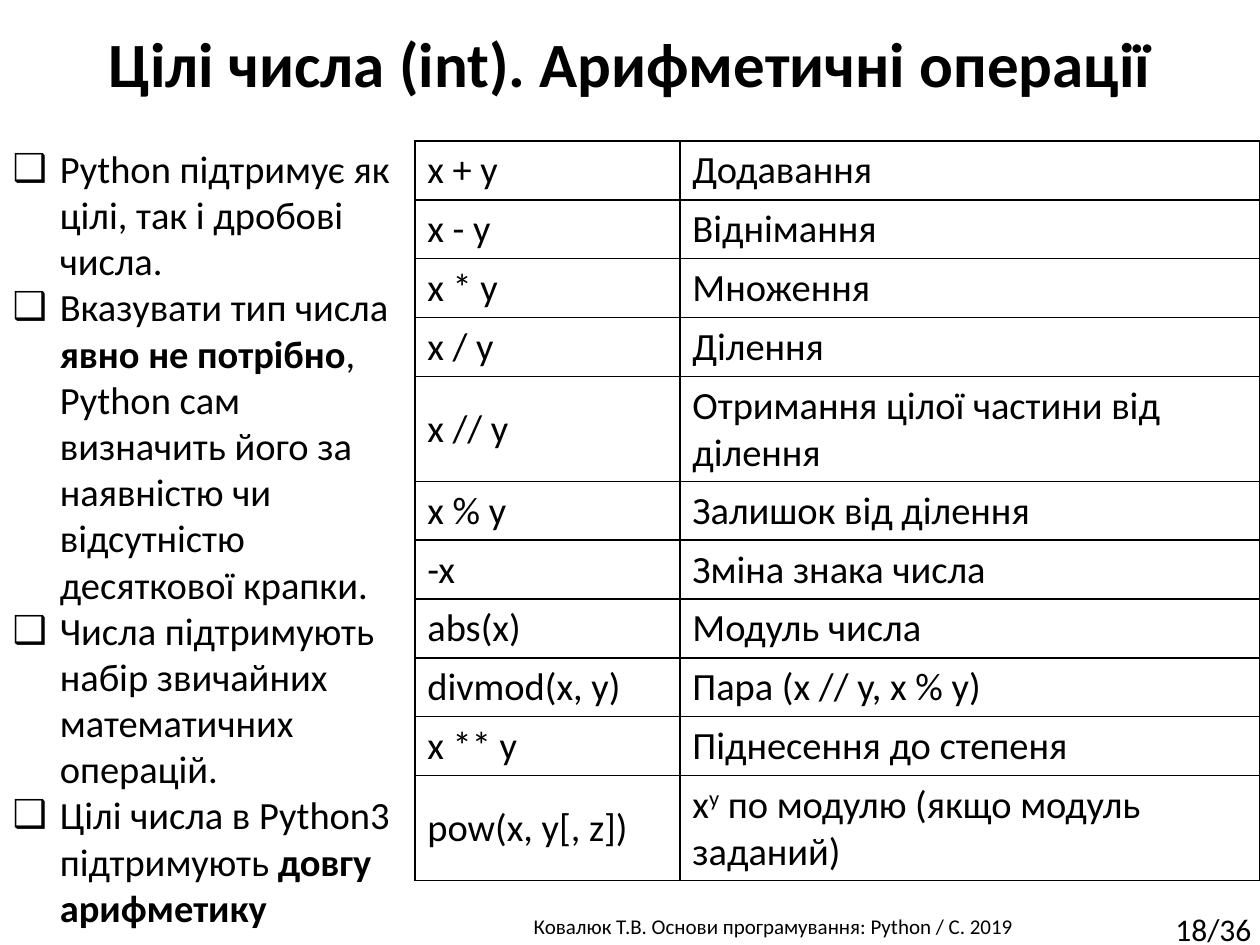
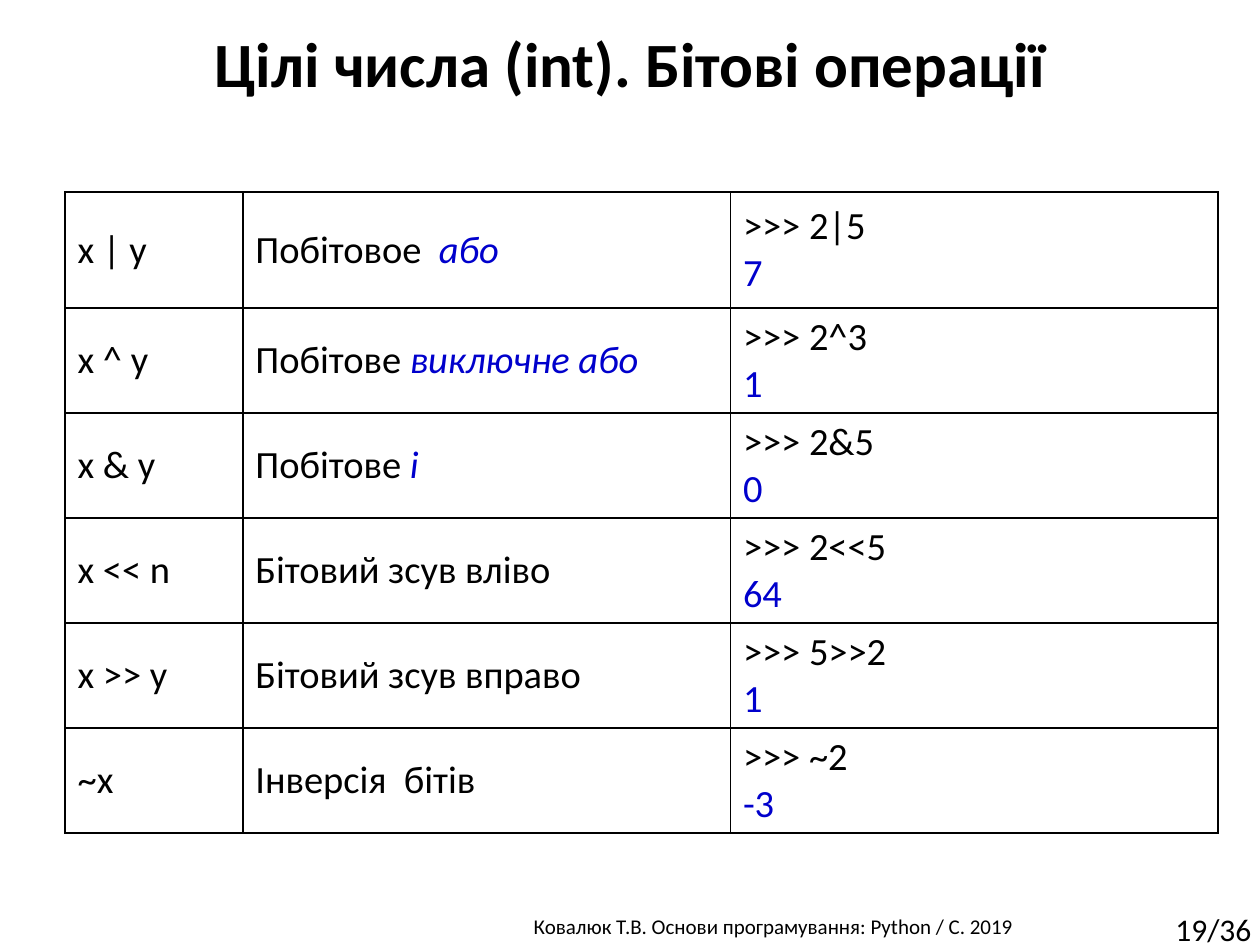
from dataclasses import dataclass

from lxml.etree import SubElement
from pptx import Presentation
from pptx.dml.color import RGBColor
from pptx.enum.text import MSO_ANCHOR as Anchor, MSO_AUTO_SIZE as AutoSize, PP_ALIGN as Align
from pptx.oxml.ns import qn
from pptx.util import Pt


@dataclass(frozen=True)
class Theme:
    font: str = "Calibri"
    text: RGBColor = RGBColor(0, 0, 0)
    accent: RGBColor = RGBColor(0, 0, 0xCC)
    paper: RGBColor = RGBColor(255, 255, 255)
    border: str = "000000"
    border_width: int = 1
    title_size: int = 36
    body_size: int = 22
    number_size: int = 18
    footer_size: int = 12
    bullet: str = "❑"
    bullet_indent: int = 27


@dataclass(frozen=True)
class Box:
    left: float
    top: float
    width: float
    height: float

    def lengths(self):
        return [Pt(value) for value in (self.left, self.top, self.width, self.height)]


@dataclass(frozen=True)
class Span:
    text: str
    bold: bool = False
    italic: bool = False
    accent: bool = False
    superscript: bool = False


THEME = Theme()
SLIDE_WIDTH, SLIDE_HEIGHT = 720, 540
TITLE_BOX = Box(0, 10, SLIDE_WIDTH, 51)
FOOTER_BOX = Box(237, 518.4, 410, 21.8)
NUMBER_BOX = Box(664.6, 516.2, 61, 29)
LIST_BOX = Box(0, 79.2, 233.3, 460.8)
ARITHMETIC_BOX = Box(237, 80.6, 483, 422.4)
BITWISE_BOX = Box(37.2, 109.8, 658.8, 366.2)
ONE_LINE, TWO_LINES, TALL_ROW = 33.6, 60, 66.2
TITLE_ONLY, TITLE_AND_CONTENT = 5, 1
FOOTER = "Ковалюк Т.В. Основи програмування: Python / C. 2019"
SLIDE_COUNT = 36

INTEGER_FACTS = [
    ["Python підтримує як цілі, так і дробові числа."],
    ["Вказувати тип числа ", Span("явно не потрібно", bold=True),
     ", Python сам визначить його за наявністю чи відсутністю десяткової крапки."],
    ["Числа підтримують набір звичайних математичних операцій."],
    ["Цілі числа в Python3 підтримують ", Span("довгу арифметику", bold=True)],
]

ARITHMETIC = [
    ("x + y", ["Додавання"], ONE_LINE),
    ("x - y", ["Віднімання"], ONE_LINE),
    ("x * y", ["Множення"], ONE_LINE),
    ("x / y", ["Ділення"], ONE_LINE),
    ("x // y", ["Отримання цілої частини від ділення"], TWO_LINES),
    ("x % y", ["Залишок від ділення"], ONE_LINE),
    ("-x", ["Зміна знака числа"], ONE_LINE),
    ("abs(x)", ["Модуль числа"], ONE_LINE),
    ("divmod(x, y)", ["Пара (x // y, x % y)"], ONE_LINE),
    ("x ** y", ["Піднесення до степеня"], ONE_LINE),
    ("pow(x, y[, z])",
     ["x", Span("y", superscript=True), " по модулю (якщо модуль заданий)"], TWO_LINES),
]

BITWISE = [
    ("x | y", "Побітовое  ", "або", "2|5", "7"),
    ("x ^ y", "Побітове ", "виключне або", "2^3", "1"),
    ("x & y", "Побітове ", "і", "2&5", "0"),
    ("x << n", "Бітовий зсув вліво", "", "2<<5", "64"),
    ("x >> y", "Бітовий зсув вправо", "", "5>>2", "1"),
    ("~x", "Інверсія  бітів", "", "~2", "-3"),
]


def style_paragraph(paragraph, size, bold=False, align=Align.LEFT):
    paragraph.alignment = align
    font = paragraph.font
    font.name, font.size, font.bold = THEME.font, Pt(size), bold
    font.color.rgb = THEME.text


def add_span(paragraph, span):
    run = paragraph.add_run()
    if isinstance(span, str):
        run.text = span
        return
    run.text = span.text
    if span.bold:
        run.font.bold = True
    if span.italic:
        run.font.italic = True
    if span.accent:
        run.font.color.rgb = THEME.accent
    if span.superscript:
        run._r.get_or_add_rPr().set("baseline", "30000")


def add_bullet(paragraph):
    properties = paragraph._p.get_or_add_pPr()
    indent = Pt(THEME.bullet_indent)
    properties.set("marL", str(indent))
    properties.set("indent", str(-indent))
    SubElement(properties, qn("a:buChar"), char=THEME.bullet)


def write_paragraphs(frame, paragraphs, size, bullets=False, **style):
    for index, spans in enumerate(paragraphs):
        paragraph = frame.add_paragraph() if index else frame.paragraphs[0]
        if bullets:
            add_bullet(paragraph)
        paragraph.space_before = Pt(0)
        style_paragraph(paragraph, size, **style)
        for span in spans:
            add_span(paragraph, span)


def place(shape, box):
    shape.left, shape.top, shape.width, shape.height = box.lengths()


def fill_title(slide, box, text):
    title = slide.shapes.title
    place(title, box)
    title.text_frame.auto_size = AutoSize.NONE
    title.text_frame.vertical_anchor = Anchor.MIDDLE
    write_paragraphs(title.text_frame, [[text]], THEME.title_size, bold=True, align=Align.CENTER)


def fill_list(slide, box, items):
    body = slide.placeholders[1]
    place(body, box)
    body.fill.solid()
    body.fill.fore_color.rgb = THEME.paper
    body.text_frame.auto_size = AutoSize.NONE
    body.text_frame.vertical_anchor = Anchor.TOP
    write_paragraphs(body.text_frame, items, THEME.body_size, bullets=True)


def add_label(slide, box, text, size, wrap, align):
    frame = slide.shapes.add_textbox(*box.lengths()).text_frame
    frame.word_wrap = wrap
    write_paragraphs(frame, [[text]], size, align=align)


def format_cell(cell):
    properties = cell._tc.get_or_add_tcPr()
    for side in ("lnL", "lnR", "lnT", "lnB"):
        line = SubElement(properties, qn(f"a:{side}"), w=str(Pt(THEME.border_width)))
        SubElement(SubElement(line, qn("a:solidFill")), qn("a:srgbClr"), val=THEME.border)
    cell.fill.solid()
    cell.fill.fore_color.rgb = THEME.paper
    cell.vertical_anchor = Anchor.MIDDLE


def add_grid(slide, box, rows, widths, heights):
    table = slide.shapes.add_table(len(rows), len(widths), *box.lengths()).table
    table.first_row = table.horz_banding = False
    for column, width in zip(table.columns, widths):
        column.width = Pt(width)
    for row, height, contents in zip(table.rows, heights, rows):
        row.height = Pt(height)
        for cell, paragraphs in zip(row.cells, contents):
            format_cell(cell)
            write_paragraphs(cell.text_frame, paragraphs, THEME.body_size)


def start_slide(presentation, layout, title, number):
    slide = presentation.slides.add_slide(presentation.slide_layouts[layout])
    add_label(slide, FOOTER_BOX, FOOTER, THEME.footer_size, True, Align.CENTER)
    add_label(slide, NUMBER_BOX, f"{number}/{SLIDE_COUNT}", THEME.number_size, False, Align.LEFT)
    fill_title(slide, TITLE_BOX, title)
    return slide


def add_arithmetic_slide(presentation):
    slide = start_slide(presentation, TITLE_AND_CONTENT,
                        "Цілі числа (int). Арифметичні операції", 18)
    fill_list(slide, LIST_BOX, INTEGER_FACTS)
    rows = [([[operation]], [meaning]) for operation, meaning, _ in ARITHMETIC]
    heights = [height for _, _, height in ARITHMETIC]
    first_width = 151.5
    add_grid(slide, ARITHMETIC_BOX, rows,
             [first_width, ARITHMETIC_BOX.width - first_width], heights)


def add_bitwise_slide(presentation):
    slide = start_slide(presentation, TITLE_ONLY, "Цілі числа (int). Бітові операції", 19)
    rows = []
    for operation, meaning, keyword, expression, result in BITWISE:
        description = [meaning]
        if keyword:
            description.append(Span(keyword, italic=True, accent=True))
        example = [[f">>> {expression}"], [Span(result, accent=True)]]
        rows.append(([[operation]], [description], example))
    first_width = 101.6
    other_width = (BITWISE_BOX.width - first_width) / 2
    heights = [TALL_ROW] + [TWO_LINES] * (len(rows) - 1)
    add_grid(slide, BITWISE_BOX, rows, [first_width, other_width, other_width], heights)


def main():
    presentation = Presentation()
    presentation.slide_width, presentation.slide_height = Pt(SLIDE_WIDTH), Pt(SLIDE_HEIGHT)
    add_arithmetic_slide(presentation)
    add_bitwise_slide(presentation)
    presentation.save("out.pptx")


if __name__ == "__main__":
    main()
